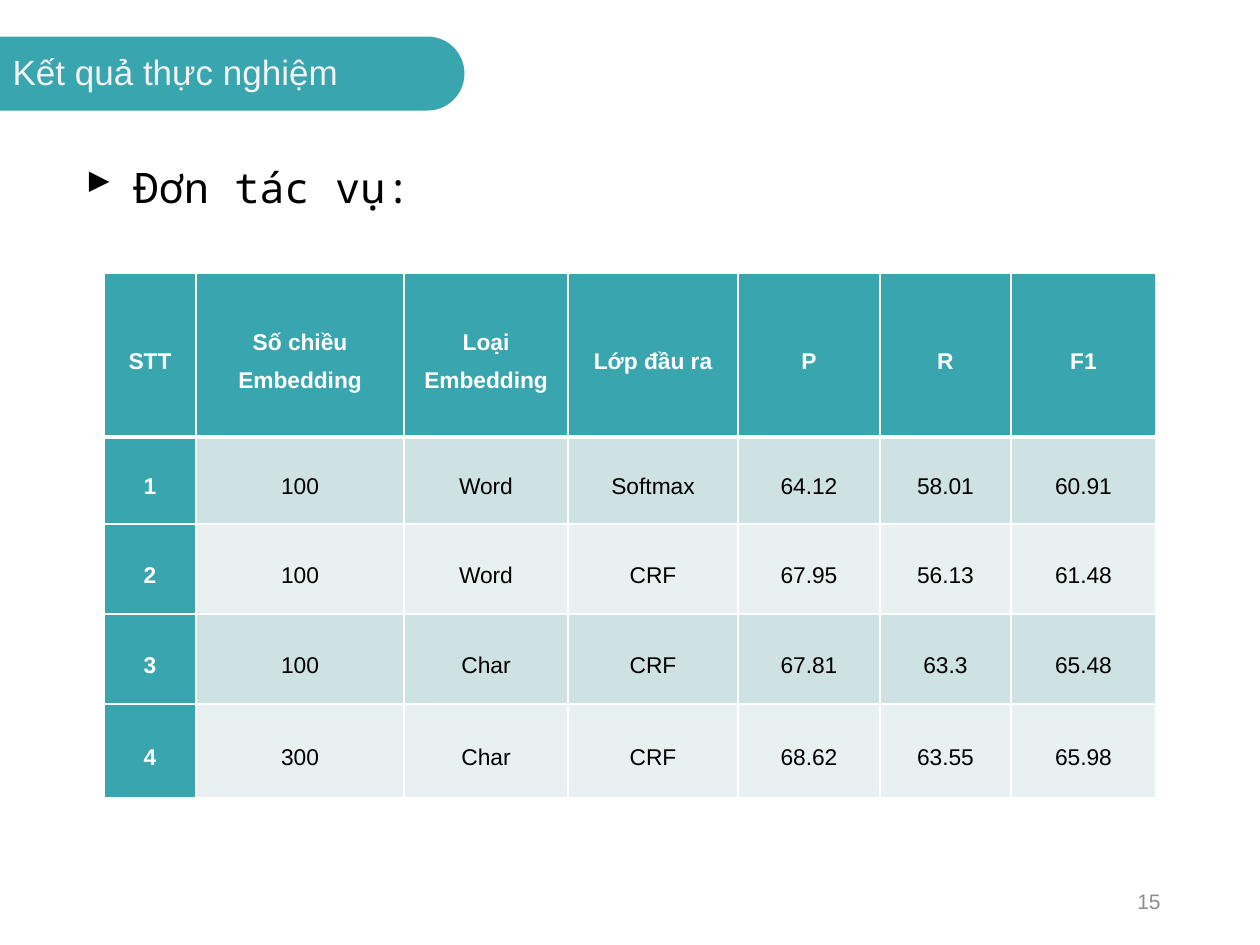
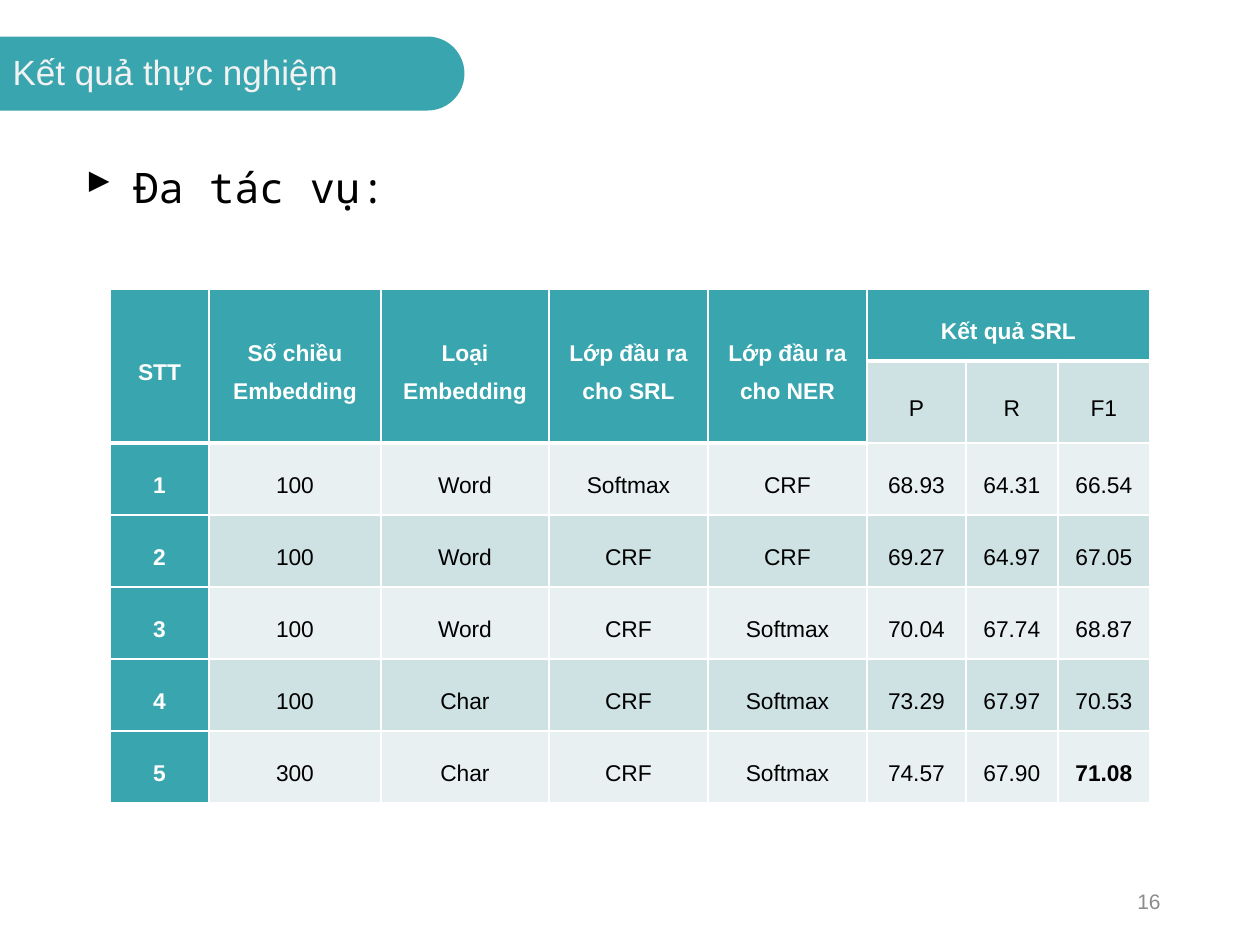
from dataclasses import dataclass

from lxml import etree
from pptx import Presentation
from pptx.dml.color import RGBColor
from pptx.enum.shapes import MSO_SHAPE
from pptx.enum.text import MSO_ANCHOR, MSO_AUTO_SIZE, PP_ALIGN
from pptx.oxml.ns import qn
from pptx.util import Pt

ROUND_SAME_SIDE = MSO_SHAPE.ROUND_2_SAME_RECTANGLE
MIDDLE = MSO_ANCHOR.MIDDLE
NO_FIT = MSO_AUTO_SIZE.NONE
LEFT, CENTER, RIGHT = PP_ALIGN.LEFT, PP_ALIGN.CENTER, PP_ALIGN.RIGHT
TITLE_ONLY = 5
PX = 914400 / 126


@dataclass(frozen=True)
class Theme:
    teal: str = "39A5AE"
    stripe_dark: str = "CEE1E3"
    stripe_light: str = "E8F0F2"
    white: str = "FFFFFF"
    title: str = "F2F2F2"
    text: str = "000000"
    number: str = "8C8C8C"
    font: str = "Arial"
    mono: str = "Noto Sans Mono"
    title_size: int = 20
    heading_size: int = 24
    cell_size: int = 13
    number_size: int = 12
    thin: int = 1
    thick: int = 3


THEME = Theme()

# Content: an empty cell belongs to the merged cell before it
TITLE = "Kết quả thực nghiệm"
SLIDES = [
    {
        "heading": "Đơn tác vụ:",
        "number": "15",
        "origin": (104, 273),
        "columns": [92, 208, 164, 170, 142, 131, 145],
        "heights": [164, 87, 90, 90, 94],
        "merges": [],
        "bold": [],
        "rows": [
            ["STT", "Số chiều Embedding", "Loại Embedding", "Lớp đầu ra", "P", "R", "F1"],
            ["1", "100", "Word", "Softmax", "64.12", "58.01", "60.91"],
            ["2", "100", "Word", "CRF", "67.95", "56.13", "61.48"],
            ["3", "100", "Char", "CRF", "67.81", "63.3", "65.48"],
            ["4", "300", "Char", "CRF", "68.62", "63.55", "65.98"],
        ],
    },
    {
        "heading": "Đa tác vụ:",
        "number": "16",
        "origin": (110, 289),
        "columns": [99, 172, 168, 159, 159, 99, 92, 92],
        "heights": [72, 82] + [72] * 5,
        "merges": [((0, column), (1, column)) for column in range(5)] + [((0, 5), (0, 7))],
        "bold": [(6, 7)],
        "rows": [
            ["STT", "Số chiều Embedding", "Loại Embedding", "Lớp đầu ra cho SRL",
             "Lớp đầu ra cho NER", "Kết quả SRL", "", ""],
            ["", "", "", "", "", "P", "R", "F1"],
            ["1", "100", "Word", "Softmax", "CRF", "68.93", "64.31", "66.54"],
            ["2", "100", "Word", "CRF", "CRF", "69.27", "64.97", "67.05"],
            ["3", "100", "Word", "CRF", "Softmax", "70.04", "67.74", "68.87"],
            ["4", "100", "Char", "CRF", "Softmax", "73.29", "67.97", "70.53"],
            ["5", "300", "Char", "CRF", "Softmax", "74.57", "67.90", "71.08"],
        ],
    },
]


def px(*lengths):
    return [round(length * PX) for length in lengths]


def write(frame, text, size, color, font=THEME.font, align=LEFT, spacing=1.0, bold=False):
    frame.word_wrap = True
    para = frame.paragraphs[0]
    para.text = text
    para.alignment = align
    para.line_spacing = spacing
    para.space_before = Pt(0)
    for span in para.runs:
        span.font.name = font
        span.font.size = Pt(size)
        span.font.bold = bold
        span.font.color.rgb = RGBColor.from_string(color)
    return para


def add_title(slide):
    title = slide.shapes.title
    title.left, title.top, title.width, title.height = px(0, 37, 483, 74)
    frame = title.text_frame
    frame.auto_size = NO_FIT
    frame.vertical_anchor = MIDDLE
    write(frame, TITLE, THEME.title_size, THEME.title, spacing=0.9)

    # Band behind the title, turned so that its round end points right
    band = slide.shapes.add_shape(ROUND_SAME_SIDE, *px(195, -159, 74, 465))
    band.rotation = 270
    band.adjustments[0], band.adjustments[1] = 0, 0.5
    band.shadow.inherit = False
    band.fill.solid()
    band.fill.fore_color.rgb = RGBColor.from_string(THEME.teal)
    band.line.fill.background()
    title.element.addprevious(band.element)


def add_heading(slide, text):
    box = slide.shapes.add_textbox(*px(73, 130, 840, 81))
    para = write(box.text_frame, text, THEME.heading_size, THEME.text, THEME.mono, spacing=1.5)
    properties = para._p.get_or_add_pPr()
    indent = px(48)[0]
    properties.set("marL", str(indent))
    properties.set("indent", str(-indent))
    etree.SubElement(properties, qn("a:buChar")).set("char", "▸")


def add_number(slide, text):
    box = slide.shapes.add_textbox(*px(890, 876, 283, 50))
    box.text_frame.vertical_anchor = MIDDLE
    write(box.text_frame, text, THEME.number_size, THEME.number, align=RIGHT)


def set_borders(cell, top, bottom):
    properties = cell._tc.get_or_add_tcPr()
    weights = {"lnL": THEME.thin, "lnR": THEME.thin, "lnT": top, "lnB": bottom}
    for place, (tag, weight) in enumerate(weights.items()):
        line = etree.Element(qn(f"a:{tag}"), w=str(Pt(weight)))
        fill = etree.SubElement(line, qn("a:solidFill"))
        etree.SubElement(fill, qn("a:srgbClr")).set("val", THEME.white)
        properties.insert(place, line)


def add_results(slide, content):
    rows, columns, heights = content["rows"], content["columns"], content["heights"]
    place = px(*content["origin"], sum(columns), sum(heights))
    table = slide.shapes.add_table(len(rows), len(columns), *place).table
    for column, width in zip(table.columns, px(*columns)):
        column.width = width
    for row, height in zip(table.rows, px(*heights)):
        row.height = height
    for first, last in content["merges"]:
        table.cell(*first).merge(table.cell(*last))

    def is_header(row, column):
        return row == 0 or not rows[row][column]

    for r, row in enumerate(rows):
        stripe = THEME.stripe_dark if r % 2 else THEME.stripe_light
        for c, text in enumerate(row):
            header = is_header(r, c)
            strong = header or c == 0
            cell = table.cell(r, c)
            cell.vertical_anchor = MIDDLE
            cell.margin_left = cell.margin_right = px(9)[0]
            cell.margin_top = cell.margin_bottom = 0
            cell.fill.solid()
            cell.fill.fore_color.rgb = RGBColor.from_string(THEME.teal if strong else stripe)
            below_header = r > 0 and not header and is_header(r - 1, c)
            set_borders(cell, THEME.thick if below_header else THEME.thin,
                        THEME.thick if header else THEME.thin)
            if text:
                write(cell.text_frame, text, THEME.cell_size,
                      THEME.white if strong else THEME.text, align=CENTER, spacing=1.5,
                      bold=strong or (r, c) in content["bold"])


def main():
    deck = Presentation()
    deck.slide_width, deck.slide_height = px(1260, 945)
    for content in SLIDES:
        slide = deck.slides.add_slide(deck.slide_layouts[TITLE_ONLY])
        add_title(slide)
        add_heading(slide, content["heading"])
        add_results(slide, content)
        add_number(slide, content["number"])
    deck.save("out.pptx")


if __name__ == "__main__":
    main()
